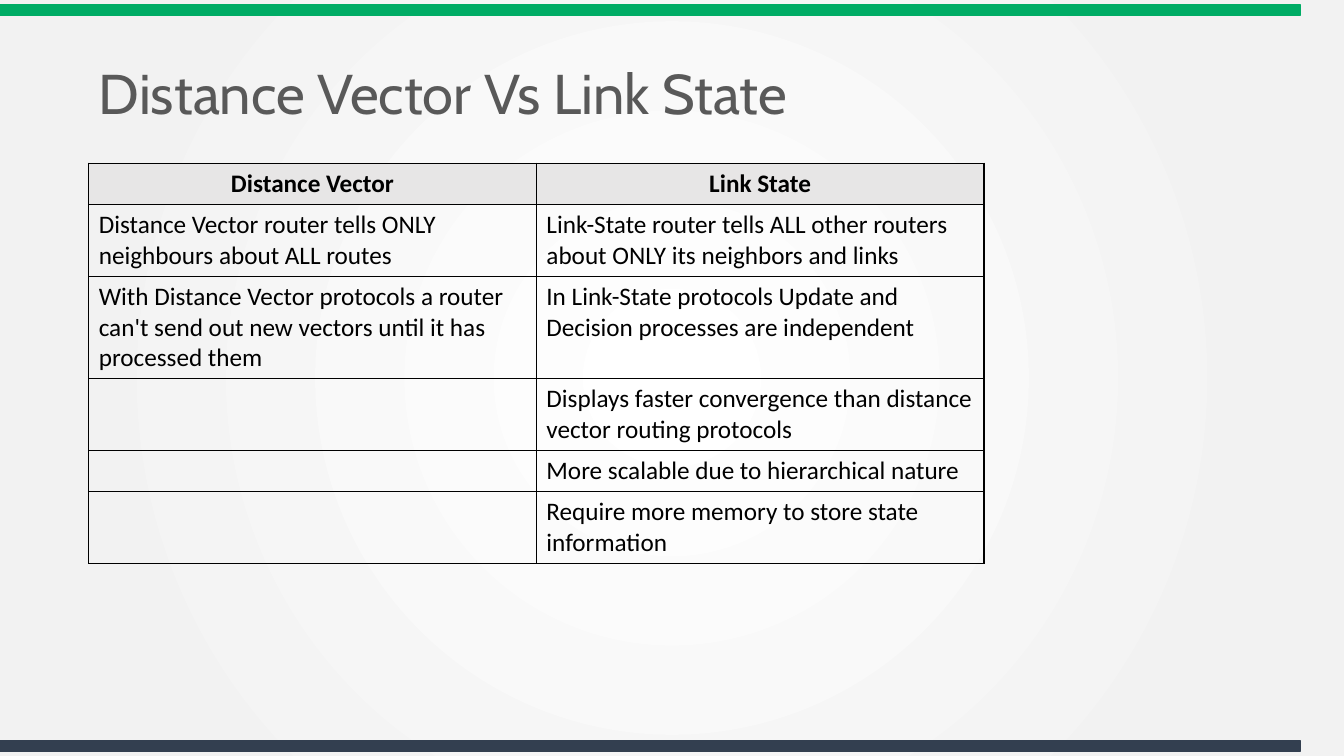
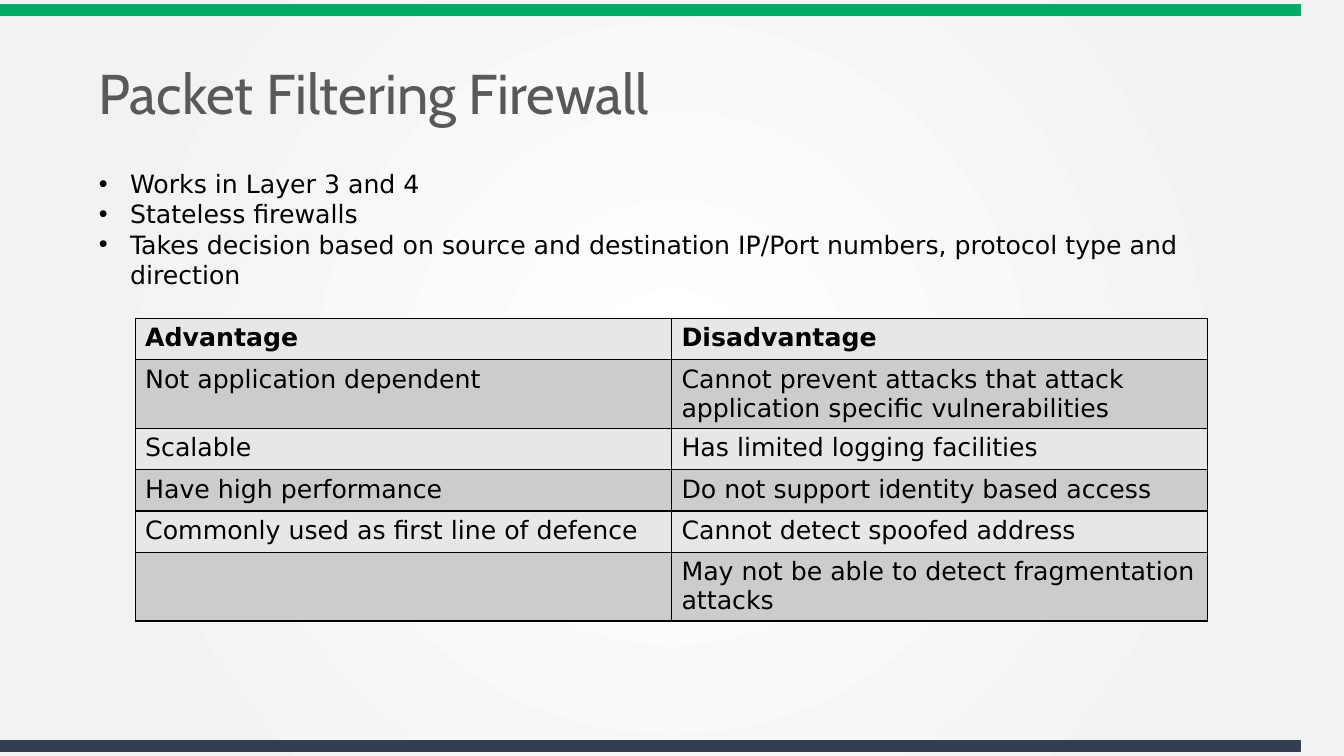
from dataclasses import dataclass

from lxml import etree
from pptx import Presentation
from pptx.dml.color import RGBColor
from pptx.enum import shapes, text
from pptx.oxml.ns import qn
from pptx.util import Inches, Pt

TITLE_ONLY, TITLE_AND_CONTENT = 5, 1
PLAIN_TABLE_STYLE = "{2D5ABB26-0587-4C30-8999-92F81FD0307C}"


@dataclass(frozen=True)
class Theme:
    title_font: str = "Cabin"
    table_font: str = "Calibri"
    body_font: str = "DejaVu Sans"
    title_size: int = 40
    body_size: int = 18
    title_color: str = "595959"
    ink: str = "000000"
    top_band: str = "00AC65"
    bottom_band: str = "333F50"
    header_fill: str = "E7E6E6"
    light_row: str = "E7E7E7"
    dark_row: str = "CCCCCC"
    gradient: tuple = ((0, "FFFFFF"), (81, "F2F2F2"), (100, "F2F2F2"))


THEME = Theme()
LEFT, CONTENT_TOP, CONTENT_WIDTH = 0.88, 1.62, 11.7

PROTOCOLS = [
    ("Distance Vector", "Link State"),
    ("Distance Vector router tells ONLY neighbours about ALL routes",
     "Link-State router tells ALL other routers about ONLY its neighbors and links"),
    ("With Distance Vector protocols a router can't send out new vectors until it has processed them",
     "In Link-State protocols Update and Decision processes are independent"),
    ("", "Displays faster convergence than distance vector routing protocols"),
    ("", "More scalable due to hierarchical nature"),
    ("", "Require more memory to store state information"),
]
FIREWALL_TRAITS = [
    "Works in Layer 3 and 4",
    "Stateless firewalls",
    "Takes decision based on source and destination IP/Port numbers, protocol type and direction",
]
FIREWALL_TRADEOFFS = [
    ("Advantage", "Disadvantage"),
    ("Not application dependent",
     "Cannot prevent attacks that attack application specific vulnerabilities"),
    ("Scalable", "Has limited logging facilities"),
    ("Have high performance", "Do not support identity based access"),
    ("Commonly used as first line of defence", "Cannot detect spoofed address"),
    ("", "May not be able to detect fragmentation attacks"),
]


def add_xml(parent, tag, **attributes):
    return etree.SubElement(parent, qn(tag), attributes)


def add_solid_fill(parent, color):
    add_xml(add_xml(parent, "a:solidFill"), "a:srgbClr", val=color)


def place(shape, left, top, width, height):
    shape.left, shape.top = Inches(left), Inches(top)
    shape.width, shape.height = Inches(width), Inches(height)


def style_background(master):
    """Give the master a circular gradient that starts at its centre."""
    master.background.fill.gradient()
    gradient = master.element.find(".//" + qn("a:gradFill"))
    gradient.clear()
    stops = add_xml(gradient, "a:gsLst")
    for percent, color in THEME.gradient:
        stop = add_xml(stops, "a:gs", pos=str(percent * 1000))
        add_xml(stop, "a:srgbClr", val=color)
    circle = add_xml(gradient, "a:path", path="circle")
    add_xml(circle, "a:fillToRect", **dict.fromkeys("ltrb", "50000"))


def style_title(master):
    title = next(shape for shape in master.placeholders
                 if shape.placeholder_format.type == shapes.PP_PLACEHOLDER.TITLE)
    place(title, LEFT, 0.56, CONTENT_WIDTH, 0.8)
    title.text_frame.auto_size = text.MSO_AUTO_SIZE.NONE
    title.text_frame.vertical_anchor = text.MSO_ANCHOR.MIDDLE
    level = master.element.find(".//" + qn("p:titleStyle") + "/" + qn("a:lvl1pPr"))
    level.clear()
    level.set("algn", "l")
    add_xml(add_xml(level, "a:lnSpc"), "a:spcPct", val="90000")
    add_xml(level, "a:buNone")
    font = add_xml(level, "a:defRPr", sz=str(THEME.title_size * 100))
    add_solid_fill(font, THEME.title_color)
    add_xml(font, "a:latin", typeface=THEME.title_font)


def add_master_bands(master, slide):
    """Draw the bands on a slide, then move them to the back of the master."""
    tree = master.element.cSld.spTree
    bands = ((0.05, THEME.top_band), (7.35, THEME.bottom_band))
    for number, (top, color) in enumerate(bands):
        band = slide.shapes.add_shape(shapes.MSO_SHAPE.RECTANGLE, 0, Inches(top),
                                      Inches(12.9), Inches(0.1))
        band.shadow.inherit = False
        band.fill.solid()
        band.fill.fore_color.rgb = band.line.color.rgb = RGBColor.from_string(color)
        band.line.width = Pt(1)
        band.element.nvSpPr.cNvPr.set("id", str(100 + number))
        tree.insert(2 + number, band.element)


def add_slide(presentation, layout, title):
    slide = presentation.slides.add_slide(presentation.slide_layouts[layout])
    slide.shapes.title.text = title
    return slide


def style_paragraph(paragraph, font_name, bold=False):
    font = paragraph.font
    font.name, font.size, font.bold = font_name, Pt(THEME.body_size), bold
    font.color.rgb = RGBColor.from_string(THEME.ink)


def fill_bullets(body, items):
    place(body, LEFT, CONTENT_TOP, CONTENT_WIDTH, 1.62)
    frame = body.text_frame
    frame.text = "\n".join(items)
    frame.auto_size = text.MSO_AUTO_SIZE.NONE
    for paragraph in frame.paragraphs:
        style_paragraph(paragraph, THEME.body_font)
        paragraph.space_before = Pt(0)
        properties = paragraph._p.get_or_add_pPr()
        properties.set("marL", str(Inches(0.31)))
        properties.set("indent", str(Inches(-0.31)))


def border_cell(cell):
    properties = cell._tc.get_or_add_tcPr()
    for index, side in enumerate("LRTB"):
        line = add_xml(properties, f"a:ln{side}", w=str(Pt(1)))
        add_solid_fill(line, THEME.ink)
        properties.insert(index, line)


def add_grid(slide, rows, position, column_width, row_heights, row_fills,
             font_name, header_align=text.PP_ALIGN.LEFT):
    """Add a bordered table with a bold first row; a fill of None is see-through."""
    left, top = position
    column_count = len(rows[0])
    table = slide.shapes.add_table(
        len(rows), column_count, Inches(left), Inches(top),
        Inches(column_width * column_count), Inches(sum(row_heights))).table
    table.first_row = table.horz_banding = False
    table._tbl.tblPr.find(qn("a:tableStyleId")).text = PLAIN_TABLE_STYLE
    for column in table.columns:
        column.width = Inches(column_width)
    for index, (row, words, height, color) in enumerate(
            zip(table.rows, rows, row_heights, row_fills)):
        row.height = Inches(height)
        for cell, wording in zip(row.cells, words):
            cell.text = wording
            paragraph = cell.text_frame.paragraphs[0]
            style_paragraph(paragraph, font_name, bold=index == 0)
            if index == 0:
                paragraph.alignment = header_align
            if color:
                cell.fill.solid()
                cell.fill.fore_color.rgb = RGBColor.from_string(color)
            else:
                cell.fill.background()
            border_cell(cell)


def main():
    presentation = Presentation()
    presentation.slide_width, presentation.slide_height = Inches(13.33), Inches(7.5)
    master = presentation.slide_master
    style_background(master)
    style_title(master)

    comparison = add_slide(presentation, TITLE_ONLY, "Distance Vector Vs Link State")
    add_master_bands(master, comparison)
    add_grid(comparison, PROTOCOLS, (LEFT, CONTENT_TOP), 4.44,
             [0.41, 0.7, 1, 0.7, 0.41, 0.7],
             [THEME.header_fill] + [None] * (len(PROTOCOLS) - 1),
             THEME.table_font, text.PP_ALIGN.CENTER)

    firewall = add_slide(presentation, TITLE_AND_CONTENT, "Packet Filtering Firewall")
    fill_bullets(firewall.placeholders[1], FIREWALL_TRAITS)
    row_count = len(FIREWALL_TRADEOFFS)
    add_grid(firewall, FIREWALL_TRADEOFFS, (1.34, 3.16), 5.32, [0.41] * row_count,
             [(THEME.light_row, THEME.dark_row)[row % 2] for row in range(row_count)],
             THEME.body_font)

    presentation.save("out.pptx")


if __name__ == "__main__":
    main()
